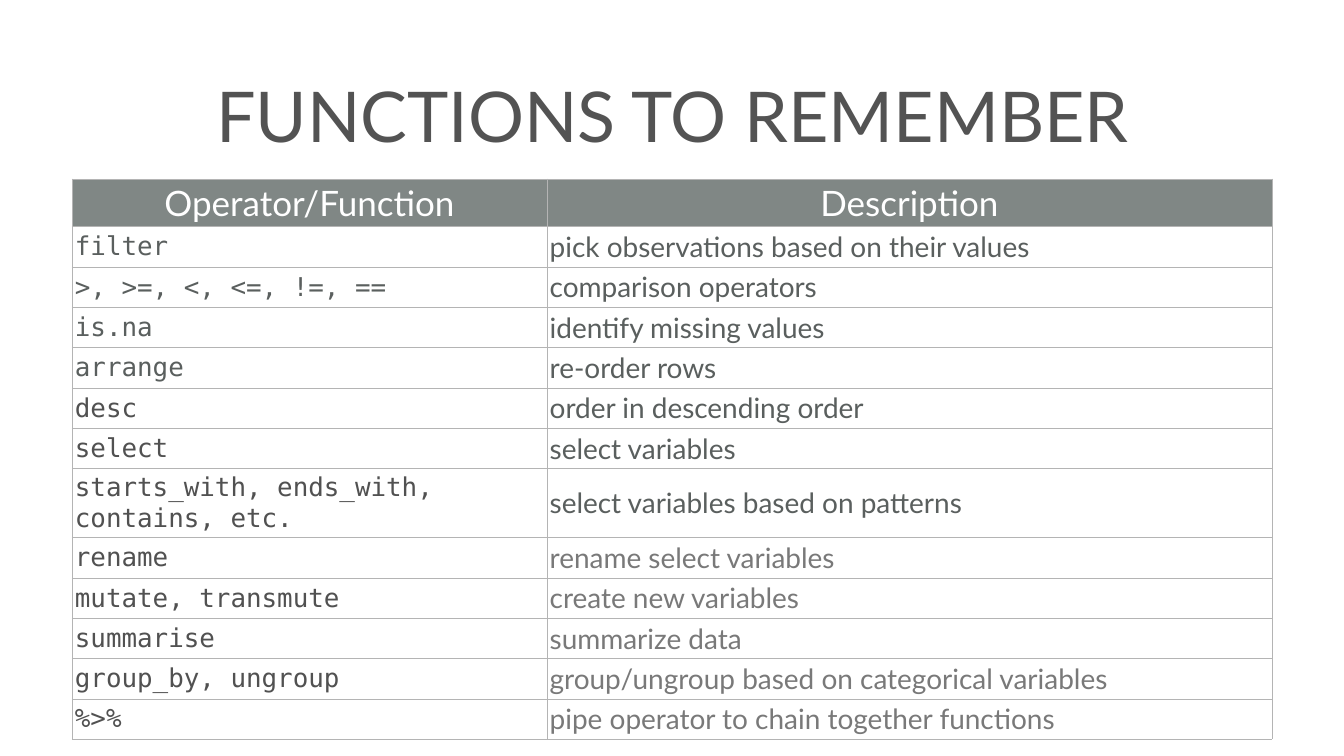
from lxml import etree
from pptx import Presentation
from pptx.dml.color import RGBColor
from pptx.enum import text
from pptx.oxml import ns
from pptx.util import Pt

TITLE = "FUNCTIONS TO REMEMBER"
HEADERS = ("Operator/Function", "Description")
DARK, SLATE, GREY = "515151", "5A5F5E", "797979"
# Each group: colour of the function, colour of the description, rows
GROUPS = [
    (SLATE, SLATE, [
        ("filter", "pick observations based on their values"),
        (">, >=, <, <=, !=, ==", "comparison operators"),
        ("is.na", "identify missing values"),
        ("arrange", "re-order rows"),
    ]),
    (DARK, SLATE, [
        ("desc", "order in descending order"),
        ("select", "select variables"),
        ("starts_with, ends_with, contains, etc.", "select variables based on patterns"),
    ]),
    (DARK, GREY, [
        ("rename", "rename select variables"),
        ("mutate, transmute", "create new variables"),
        ("summarise", "summarize data"),
        ("group_by, ungroup", "group/ungroup based on categorical variables"),
        ("%>%", "pipe operator to chain together functions"),
    ]),
]
SANS, MONO = "Lato", "DejaVu Sans Mono"
COLUMN_WIDTHS = (678.24, 1036.08)
ROW_HEIGHT, TALL_ROW_HEIGHT = 57.6, 98.64
TALL_ROW_LENGTH = 30  # a longer function list wraps to two lines
INSET = 4


def rgb(color):
    return RGBColor.from_string(color)


def write(paragraph, words, font, size, color, align=text.PP_ALIGN.LEFT):
    paragraph.alignment = align
    run = paragraph.add_run()
    run.text = words
    run.font.name = font
    run.font.size = Pt(size)
    run.font.bold = False
    run.font.color.rgb = rgb(color)


def set_insets(box):
    """Give a cell or text frame equal margins and centre it vertically."""
    box.margin_left = box.margin_right = Pt(INSET)
    box.margin_top = box.margin_bottom = Pt(INSET)
    box.vertical_anchor = text.MSO_ANCHOR.MIDDLE


def add_borders(cell, color="B4B4B4", width=1):
    properties = cell._tc.get_or_add_tcPr()
    for side in ("lnL", "lnR", "lnT", "lnB"):
        line = etree.SubElement(properties, ns.qn(f"a:{side}"), w=str(Pt(width)))
        fill = etree.SubElement(line, ns.qn("a:solidFill"))
        etree.SubElement(fill, ns.qn("a:srgbClr"), val=color)


def add_title(slide):
    title = slide.shapes.title
    title.left, title.top, title.width, title.height = Pt(53.28), Pt(28), Pt(1815), Pt(270)
    frame = title.text_frame
    frame.word_wrap = True
    set_insets(frame)
    write(frame.paragraphs[0], TITLE, SANS, 100, "535353", text.PP_ALIGN.CENTER)


def add_function_table(slide):
    rows = [(names, about, name_color, about_color)
            for name_color, about_color, pairs in GROUPS for names, about in pairs]
    heights = [ROW_HEIGHT] + [
        TALL_ROW_HEIGHT if len(row[0]) > TALL_ROW_LENGTH else ROW_HEIGHT for row in rows]
    table = slide.shapes.add_table(
        len(heights), len(HEADERS), Pt(103), Pt(255.6),
        Pt(sum(COLUMN_WIDTHS)), Pt(sum(heights))).table
    table.horz_banding = False
    for column, width in zip(table.columns, COLUMN_WIDTHS):
        column.width = Pt(width)
    for row, height in zip(table.rows, heights):
        row.height = Pt(height)
    for cell in table.iter_cells():
        set_insets(cell)
        add_borders(cell)
        cell.fill.background()

    for cell, words in zip(table.rows[0].cells, HEADERS):
        cell.fill.solid()
        cell.fill.fore_color.rgb = rgb("808785")
        write(cell.text_frame.paragraphs[0], words, SANS, 50, "FFFFFF", text.PP_ALIGN.CENTER)
    for index, (names, about, name_color, about_color) in enumerate(rows, 1):
        name_cell, about_cell = table.rows[index].cells
        write(name_cell.text_frame.paragraphs[0], names, MONO, 37, name_color)
        write(about_cell.text_frame.paragraphs[0], about, SANS, 40, about_color)


def main():
    presentation = Presentation()
    presentation.slide_width, presentation.slide_height = Pt(1920), Pt(1080)
    slide = presentation.slides.add_slide(presentation.slide_layouts[5])
    add_title(slide)
    add_function_table(slide)
    presentation.save("out.pptx")


if __name__ == "__main__":
    main()
